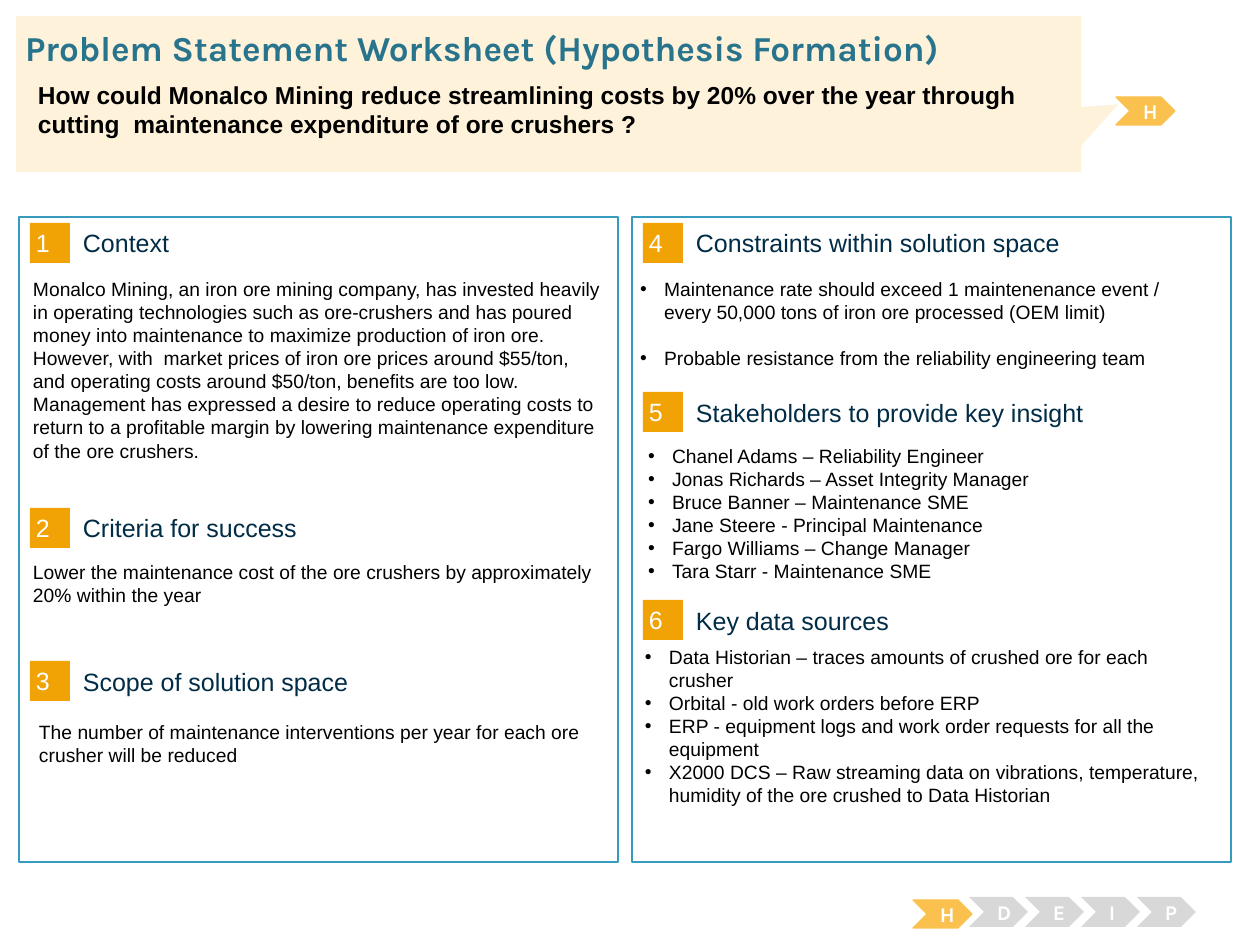
from dataclasses import dataclass

from lxml import etree
from pptx import Presentation
from pptx.dml.color import RGBColor
from pptx.enum.shapes import MSO_SHAPE
from pptx.enum.text import MSO_ANCHOR, MSO_AUTO_SIZE, PP_ALIGN
from pptx.oxml.ns import qn
from pptx.util import Emu, Pt

RECTANGLE = MSO_SHAPE.RECTANGLE
CHEVRON = MSO_SHAPE.CHEVRON
CALLOUT = MSO_SHAPE.RECTANGULAR_CALLOUT
TOP, MIDDLE = MSO_ANCHOR.TOP, MSO_ANCHOR.MIDDLE
LEFT, CENTER = PP_ALIGN.LEFT, PP_ALIGN.CENTER
NO_AUTOFIT = MSO_AUTO_SIZE.NONE

EMU_PER_PX = 914400 / 126
COMPARISON_LAYOUT = 4
STAGES = "HDEIP"


@dataclass(frozen=True)
class Theme:
    """Colours, fonts and type sizes of the worksheet."""
    white: str = "FFFFFF"
    black: str = "000000"
    navy: str = "002C46"
    teal: str = "29748D"
    border: str = "379BBD"
    badge: str = "F1A205"
    active: str = "FBC14E"
    inactive: str = "D8D8D8"
    cream: str = "FEF2DA"
    display: str = "Karla"
    text: str = "Arial"
    title_size: float = 20
    question_size: float = 14
    heading_size: float = 14.3
    body_size: float = 11
    stage_size: float = 12


THEME = Theme()

TITLE = "Problem Statement Worksheet (Hypothesis Formation)"
QUESTION = [
    "How could Monalco Mining reduce streamlining costs by 20% over the year through",
    "cutting  maintenance expenditure of ore crushers ?",
]


@dataclass(frozen=True)
class Section:
    """One numbered section, with offsets measured from its panel."""
    number: int
    heading: str
    top: int
    body_left: int
    body_top: int
    body_height: int
    lines: list
    placeholder: int = 0
    gap: float = 0


LEFT_SECTIONS = [
    Section(1, "Context", 6, 1, 54, 219, [
        "Monalco Mining, an iron ore mining company, has invested heavily in operating "
        "technologies such as ore-crushers and has poured money into maintenance to maximize "
        "production of iron ore. However, with  market prices of iron ore prices around $55/ton, "
        "and operating costs around $50/ton, benefits are too low. Management has expressed a "
        "desire to reduce operating costs to return to a profitable margin by lowering "
        "maintenance expenditure of the ore crushers."]),
    Section(2, "Criteria for success", 291, 1, 337, 194, [
        "Lower the maintenance cost of the ore crushers by approximately 20% within the year"]),
    Section(3, "Scope of solution space", 444, 7, 497, 103, [
        "The number of maintenance interventions per year for each ore crusher will be reduced"]),
]
RIGHT_SECTIONS = [
    Section(4, "Constraints within solution space", 6, -5, 54, 149, [
        "Maintenance rate should exceed 1 maintenenance event / every 50,000 tons of iron ore "
        "processed (OEM limit)",
        "Probable resistance from the reliability engineering team"], 2, 13),
    Section(5, "Stakeholders to provide key insight", 175, 3, 221, 149, [
        "Chanel Adams – Reliability Engineer",
        "Jonas Richards – Asset Integrity Manager",
        "Bruce Banner – Maintenance SME",
        "Jane Steere - Principal Maintenance",
        "Fargo Williams – Change Manager",
        "Tara Starr - Maintenance SME"], 3),
    Section(6, "Key data sources", 383, 0, 422, 149, [
        "Data Historian – traces amounts of crushed ore for each crusher",
        "Orbital - old work orders before ERP",
        "ERP - equipment logs and work order requests for all the equipment",
        "X2000 DCS – Raw streaming data on vibrations, temperature, humidity of the ore "
        "crushed to Data Historian"], 4),
]


def px(length):
    """Turn px into EMU."""
    return Emu(round(length * EMU_PER_PX))


def write(shape, lines, size, color, font=THEME.text, bold=False, align=LEFT,
          anchor=TOP, insets=(13, 6), bulleted=False, gap=0):
    """Fill a shape with one formatted run per paragraph."""
    frame = shape.text_frame
    frame.word_wrap = True
    frame.auto_size = NO_AUTOFIT
    frame.vertical_anchor = anchor
    frame.margin_left = frame.margin_right = px(insets[0])
    frame.margin_top = frame.margin_bottom = px(insets[1])
    for index, line in enumerate(lines):
        paragraph = frame.add_paragraph() if index else frame.paragraphs[0]
        paragraph.alignment = align
        paragraph.space_before = Pt(gap if index else 0)
        run = paragraph.add_run()
        run.text = line
        run.font.size = Pt(size)
        run.font.name = font
        run.font.bold = bold
        run.font.color.rgb = RGBColor.from_string(color)
        set_bullet(paragraph, bulleted)


def set_bullet(paragraph, bulleted):
    """Give a paragraph a hanging black bullet, or none."""
    properties = paragraph._p.get_or_add_pPr()
    indent = px(24) if bulleted else 0
    properties.set("marL", str(indent))
    properties.set("indent", str(-indent))
    if bulleted:
        bullet_color = etree.SubElement(properties, qn("a:buClr"))
        etree.SubElement(bullet_color, qn("a:srgbClr"), val=THEME.black)
        etree.SubElement(properties, qn("a:buFont"), typeface=THEME.text)
        etree.SubElement(properties, qn("a:buChar"), char="•")
    else:
        etree.SubElement(properties, qn("a:buNone"))


def add_block(slide, kind, box, fill, line=None, width=0.75):
    """Add a flat preset shape."""
    block = slide.shapes.add_shape(kind, *map(px, box))
    block.shadow.inherit = False
    block.fill.solid()
    block.fill.fore_color.rgb = RGBColor.from_string(fill)
    if line:
        block.line.color.rgb = RGBColor.from_string(line)
        block.line.width = Pt(width)
    else:
        block.line.fill.background()
    return block


def place(slide, idx, box):
    """Move a template placeholder to a box, in front of what is drawn so far."""
    holder = next(p for p in slide.placeholders if p.placeholder_format.idx == idx)
    holder.left, holder.top, holder.width, holder.height = map(px, box)
    slide.shapes.element.append(holder.element)
    return holder


def add_stage(slide, letter, box, active):
    """Draw one chevron of the stage tracker."""
    fill = THEME.active if active else THEME.inactive
    stage = add_block(slide, CHEVRON, box, fill, fill if active else None)
    write(stage, [letter], THEME.stage_size, THEME.white, THEME.display, True, CENTER, MIDDLE)


def add_header(slide, left, top, width, height):
    """Draw the callout with the title, the key question and its stage."""
    add_stage(slide, STAGES[0], (left + width + 35, top + 81, 59, 28), True)
    callout = add_block(slide, CALLOUT, (left, top, width, height), THEME.cream)
    callout.adjustments[0] = 0.535
    callout.adjustments[1] = 0.066
    title = place(slide, 0, (left + 9, top + 10, 1212, 43))
    write(title, [TITLE], THEME.title_size, THEME.teal, THEME.display, True, insets=(0, 0))
    question = place(slide, 1, (left + 9, top + 58, 1183, 68))
    write(question, QUESTION, THEME.question_size, THEME.black, bold=True)


def add_section(slide, left, top, section):
    """Draw a numbered heading and its text or list."""
    badge = add_block(slide, RECTANGLE, (left + 11, top + section.top, 40, 40), THEME.badge)
    write(badge, [str(section.number)], THEME.heading_size, THEME.white,
          anchor=MIDDLE, insets=(6, 6))
    heading_box = (left + 64, top + section.top + 4, 495, 32)
    heading = slide.shapes.add_textbox(*map(px, heading_box))
    write(heading, [section.heading], THEME.heading_size, THEME.navy,
          anchor=MIDDLE, insets=(0, 0))
    body_box = (left + section.body_left, top + section.body_top, 596, section.body_height)
    bulleted = section.placeholder > 0
    if bulleted:
        body = place(slide, section.placeholder, body_box)
    else:
        body = slide.shapes.add_textbox(*map(px, body_box))
    write(body, section.lines, THEME.body_size, THEME.black, bulleted=bulleted, gap=section.gap)


def add_panel(slide, left, top, width, height, sections):
    """Draw a bordered panel and its sections."""
    add_block(slide, RECTANGLE, (left, top, width, height), THEME.white, THEME.border, 1.5)
    for section in sections:
        add_section(slide, left, top, section)


def add_tracker(slide, left, top, step):
    """Draw the row of stages with the first one active."""
    for index, letter in enumerate(STAGES):
        box = (left + index * step, top, 59, 30) if index else (left, top + 3, 59, 28)
        add_stage(slide, letter, box, index == 0)


def main():
    """Build and save the worksheet."""
    deck = Presentation()
    deck.slide_width, deck.slide_height = px(1260), px(945)
    slide = deck.slides.add_slide(deck.slide_layouts[COMPARISON_LAYOUT])
    add_panel(slide, 19, 217, 599, 645, LEFT_SECTIONS)
    add_panel(slide, 632, 217, 599, 645, RIGHT_SECTIONS)
    add_tracker(slide, 913, 897, 56)
    add_header(slide, 16, 16, 1065, 156)
    deck.save("out.pptx")


if __name__ == "__main__":
    main()
